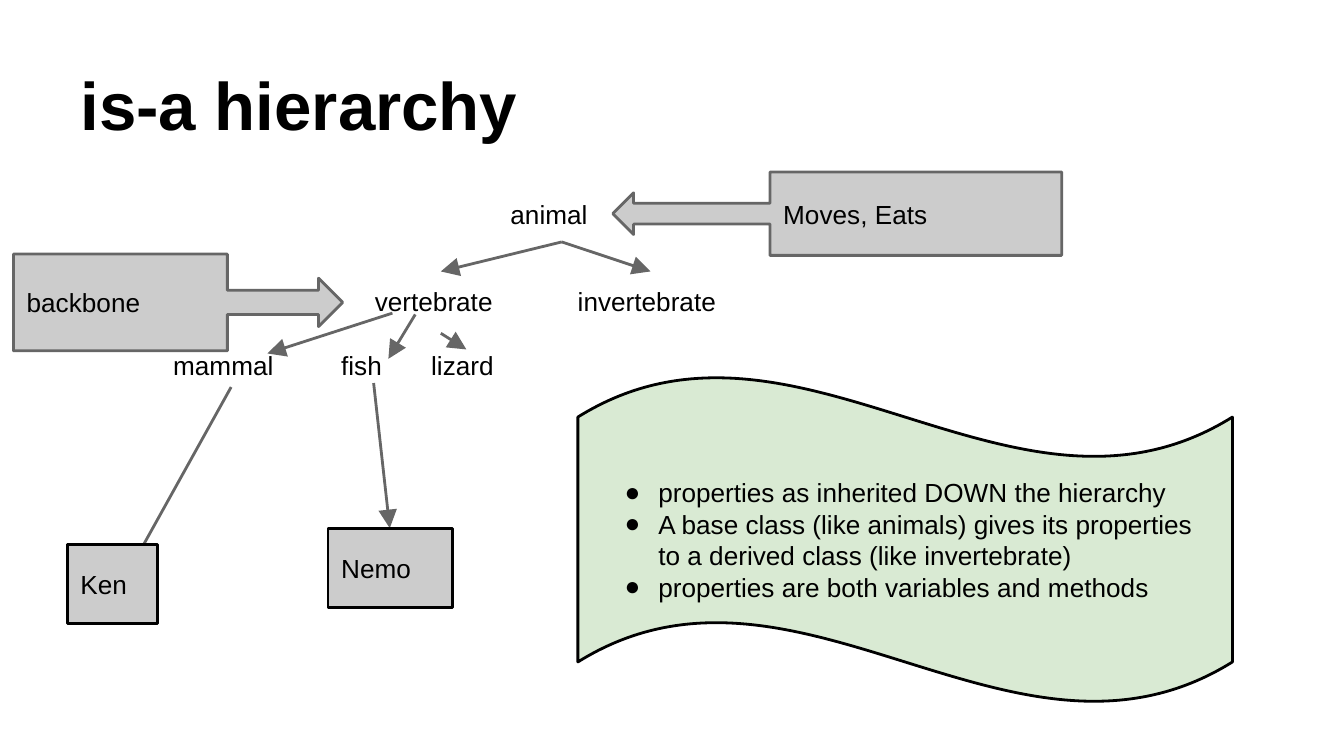
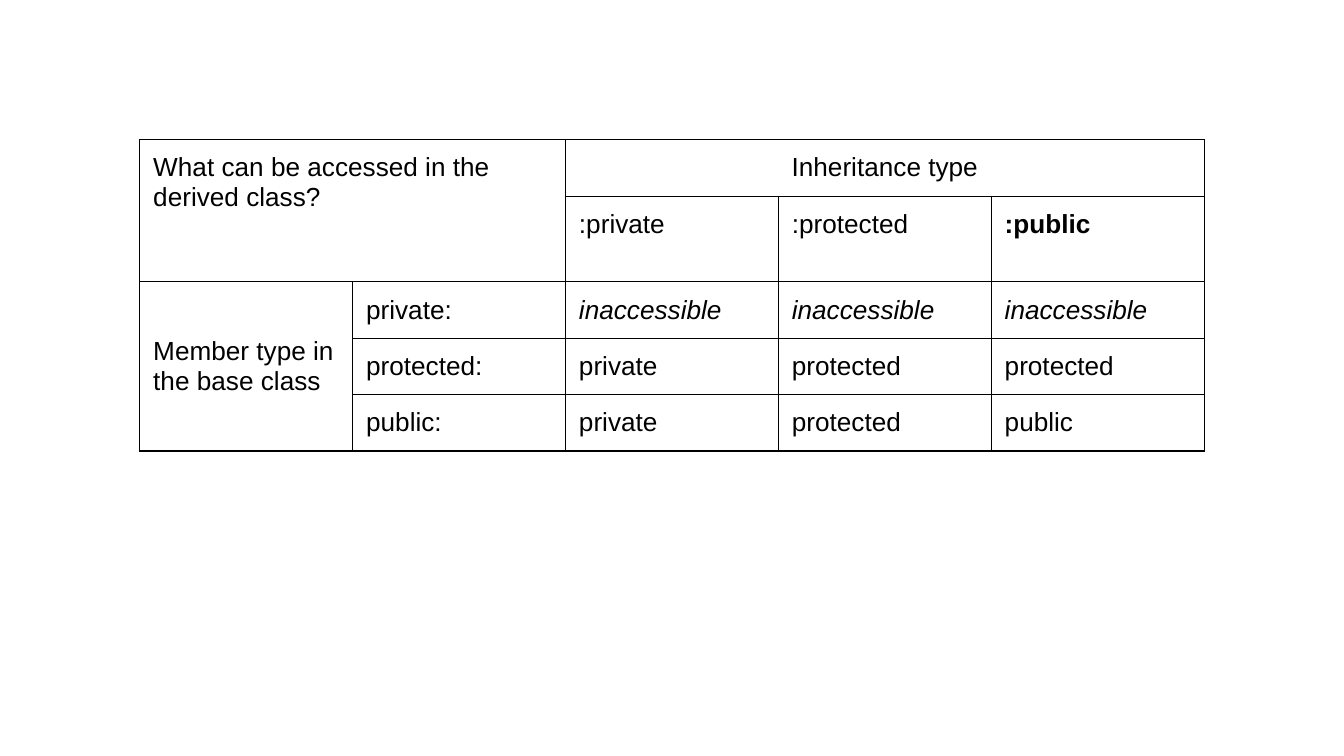
from dataclasses import dataclass

from lxml import etree
from pptx import Presentation
from pptx.dml.color import RGBColor
from pptx.enum import shapes, text
from pptx.oxml import ns
from pptx.util import Inches, Pt

FONT = "Arial"
BODY_SIZE = 14
SLIDE_WIDTH = Inches(10)
SLIDE_HEIGHT = SLIDE_WIDTH * 9 // 16
LINE_WIDTH = Pt(1.5)
BORDER_WIDTH = Pt(0.75)
INSET = Inches(0.1)
BLACK = RGBColor(0x00, 0x00, 0x00)
GREY = RGBColor(0x66, 0x66, 0x66)
LIGHT_GREY = RGBColor(0xCC, 0xCC, 0xCC)
PALE_GREEN = RGBColor(0xD9, 0xEA, 0xD3)
SHAPE = shapes.MSO_SHAPE
ANCHOR = text.MSO_ANCHOR
ALIGN = text.PP_ALIGN


@dataclass(frozen=True)
class Label:
    wording: str
    left: float
    top: float
    width: float
    height: float


@dataclass(frozen=True)
class Link:
    start: tuple[float, float]
    end: tuple[float, float]


@dataclass(frozen=True)
class Panel:
    kind: SHAPE
    lines: tuple[str, ...]
    left: float
    top: float
    width: float
    height: float
    fill: RGBColor = LIGHT_GREY
    outline: RGBColor = BLACK
    bulleted: bool = False


@dataclass(frozen=True)
class Entry:
    wording: str
    row: int
    column: int
    row_span: int = 1
    column_span: int = 1
    bold: bool = False
    italic: bool = False
    align: ALIGN = ALIGN.LEFT
    anchor: ANCHOR = ANCHOR.TOP


CLASSES = (
    Label("animal", 3.7, 1.38, 0.96, 0.43),
    Label("vertebrate", 2.69, 2.02, 1.19, 0.46),
    Label("invertebrate", 4.2, 2.02, 1.28, 0.46),
    Label("mammal", 1.19, 2.5, 1.07, 0.38),
    Label("fish", 2.44, 2.5, 0.67, 0.62),
    Label("lizard", 3.11, 2.5, 1.19, 0.46),
)
DERIVATIONS = (
    Link((4.18, 1.8), (3.28, 2.02)),
    Link((4.18, 1.8), (4.84, 2.02)),
    Link((2.92, 2.33), (1.99, 2.63)),
    Link((3.09, 2.34), (2.89, 2.67)),
    Link((3.28, 2.48), (3.47, 2.6)),
    Link((1.72, 2.88), (0.87, 4.41)),
    Link((2.78, 2.85), (2.9, 3.93)),
)
PANELS = (
    Panel(SHAPE.LEFT_ARROW_CALLOUT, ("Moves, Eats",), 4.56, 1.28, 3.34, 0.62, outline=GREY),
    Panel(SHAPE.RIGHT_ARROW_CALLOUT, ("backbone",), 0.1, 1.89, 2.45, 0.72, outline=GREY),
    Panel(SHAPE.RECTANGLE, ("Ken",), 0.5, 4.05, 0.67, 0.59),
    Panel(SHAPE.RECTANGLE, ("Nemo",), 2.44, 3.93, 0.93, 0.59),
    Panel(
        SHAPE.WAVE,
        (
            "properties as inherited DOWN the hierarchy",
            "A base class (like animals) gives its properties to a derived class (like invertebrate)",
            "properties are both variables and methods",
        ),
        4.3, 2.8, 4.87, 2.43, fill=PALE_GREEN, bulleted=True,
    ),
)

ACCESS_LEVELS = ("private", "protected", "public")
INHERITED_ACCESS = (
    ("inaccessible",) * 3,
    ("private", "protected", "protected"),
    ACCESS_LEVELS,
)
ROW_HEIGHTS = (0.42, 0.63, 0.42, 0.42, 0.42)
COLUMN_COUNT = 5
TABLE_WIDTH = Inches(7.92)


def add_run(paragraph, wording: str, size: float = BODY_SIZE, bold: bool = False, italic: bool = False) -> None:
    run = paragraph.add_run()
    run.text = wording
    run.font.name = FONT
    run.font.size = Pt(size)
    run.font.bold = bold
    run.font.italic = italic
    run.font.color.rgb = BLACK


def set_frame(frame, anchor: ANCHOR) -> None:
    frame.word_wrap = True
    frame.auto_size = text.MSO_AUTO_SIZE.NONE
    frame.vertical_anchor = anchor
    frame.margin_left = frame.margin_right = INSET
    frame.margin_top = frame.margin_bottom = INSET


def add_bullet(paragraph) -> None:
    properties = paragraph._p.get_or_add_pPr()
    properties.set("marL", str(Inches(0.5)))
    properties.set("indent", str(Inches(-0.25)))
    etree.SubElement(properties, ns.qn("a:buFont"), typeface=FONT)
    etree.SubElement(properties, ns.qn("a:buChar"), char="●")


def add_title(slide, wording: str) -> None:
    title = slide.shapes.title
    title.left, title.top = Inches(0.5), Inches(0.23)
    title.width, title.height = Inches(9), Inches(0.94)
    set_frame(title.text_frame, ANCHOR.BOTTOM)
    heading = title.text_frame.paragraphs[0]
    heading.alignment = ALIGN.LEFT
    add_run(heading, wording, size=36, bold=True)


def add_label(slide, label: Label) -> None:
    box = slide.shapes.add_textbox(
        Inches(label.left), Inches(label.top), Inches(label.width), Inches(label.height)
    )
    set_frame(box.text_frame, ANCHOR.TOP)
    add_run(box.text_frame.paragraphs[0], label.wording)


def add_link(slide, link: Link) -> None:
    ends = [Inches(value) for value in (*link.start, *link.end)]
    arrow = slide.shapes.add_connector(shapes.MSO_CONNECTOR.STRAIGHT, *ends)
    arrow.line.color.rgb = GREY
    arrow.line.width = LINE_WIDTH
    etree.SubElement(arrow.line._get_or_add_ln(), ns.qn("a:tailEnd"), type="triangle", w="lg", len="lg")
    etree.SubElement(arrow._element.spPr, ns.qn("a:effectLst"))


def add_panel(slide, panel: Panel) -> None:
    body = slide.shapes.add_shape(
        panel.kind, Inches(panel.left), Inches(panel.top), Inches(panel.width), Inches(panel.height)
    )
    body.shadow.inherit = False
    body.fill.solid()
    body.fill.fore_color.rgb = panel.fill
    body.line.color.rgb = panel.outline
    body.line.width = LINE_WIDTH
    frame = body.text_frame
    set_frame(frame, ANCHOR.MIDDLE)
    for index, wording in enumerate(panel.lines):
        paragraph = frame.add_paragraph() if index else frame.paragraphs[0]
        paragraph.alignment = ALIGN.LEFT
        if panel.bulleted:
            add_bullet(paragraph)
        add_run(paragraph, wording)


def set_borders(cell) -> None:
    properties = cell._tc.get_or_add_tcPr()
    for index, side in enumerate(("lnL", "lnR", "lnT", "lnB")):
        border = etree.Element(ns.qn(f"a:{side}"), w=str(BORDER_WIDTH))
        fill = etree.SubElement(border, ns.qn("a:solidFill"))
        etree.SubElement(fill, ns.qn("a:srgbClr"), val=str(BLACK))
        properties.insert(index, border)


def access_entries() -> list[Entry]:
    entries = [
        Entry("What can be accessed in the derived class?", 0, 0, row_span=2, column_span=2),
        Entry("Inheritance type", 0, 2, column_span=3, align=ALIGN.CENTER),
        Entry("Member type in the base class", 2, 0, row_span=3, anchor=ANCHOR.MIDDLE),
    ]
    for index, level in enumerate(ACCESS_LEVELS):
        entries.append(Entry(f":{level}", 1, index + 2, bold=level == "public"))
        entries.append(Entry(f"{level}:", index + 2, 1))
        for offset, access in enumerate(INHERITED_ACCESS[index]):
            entries.append(Entry(access, index + 2, offset + 2, italic=access == "inaccessible"))
    return entries


def add_access_table(slide) -> None:
    access = slide.shapes.add_table(
        len(ROW_HEIGHTS), COLUMN_COUNT, Inches(1.04), Inches(1.04),
        TABLE_WIDTH, Inches(sum(ROW_HEIGHTS)),
    ).table
    access.first_row = access.horz_banding = False
    for row, height in zip(access.rows, ROW_HEIGHTS):
        row.height = Inches(height)
    for cell in access.iter_cells():
        cell.fill.background()
        cell.margin_left = cell.margin_right = INSET
        cell.margin_top = cell.margin_bottom = INSET
        set_borders(cell)
    for entry in access_entries():
        cell = access.cell(entry.row, entry.column)
        if entry.row_span > 1 or entry.column_span > 1:
            last_row = entry.row + entry.row_span - 1
            last_column = entry.column + entry.column_span - 1
            cell.merge(access.cell(last_row, last_column))
        cell.vertical_anchor = entry.anchor
        paragraph = cell.text_frame.paragraphs[0]
        paragraph.alignment = entry.align
        add_run(paragraph, entry.wording, bold=entry.bold, italic=entry.italic)


def build_hierarchy(deck) -> None:
    slide = deck.slides.add_slide(deck.slide_layouts.get_by_name("Title Only"))
    add_title(slide, "is-a hierarchy")
    for label in CLASSES:
        add_label(slide, label)
    for link in DERIVATIONS:
        add_link(slide, link)
    for panel in PANELS:
        add_panel(slide, panel)


def build_access(deck) -> None:
    slide = deck.slides.add_slide(deck.slide_layouts.get_by_name("Blank"))
    add_access_table(slide)


def main() -> None:
    """Build the inheritance slides and save them."""
    deck = Presentation()
    deck.slide_width, deck.slide_height = SLIDE_WIDTH, SLIDE_HEIGHT
    build_hierarchy(deck)
    build_access(deck)
    deck.save("out.pptx")


if __name__ == "__main__":
    main()
